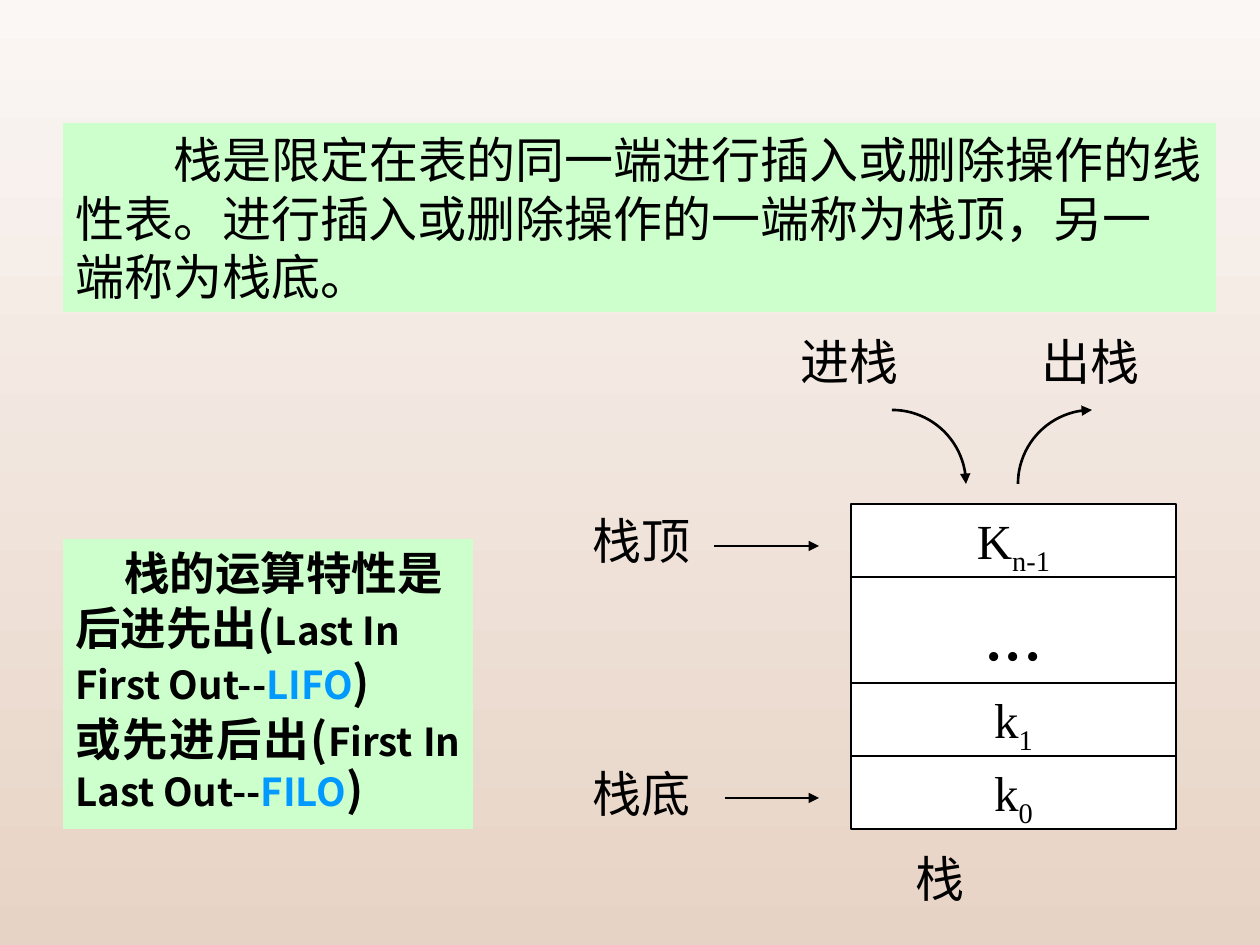
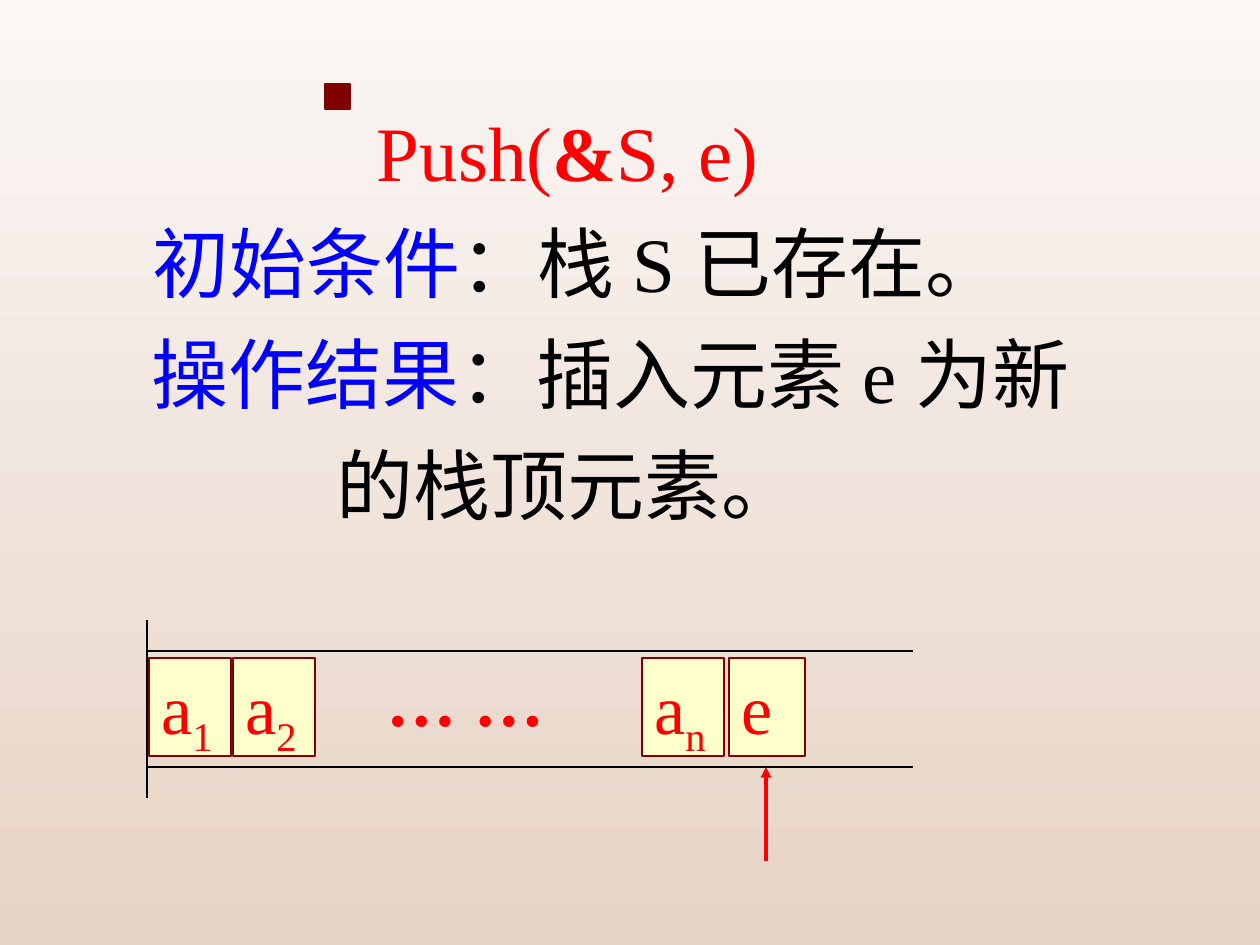
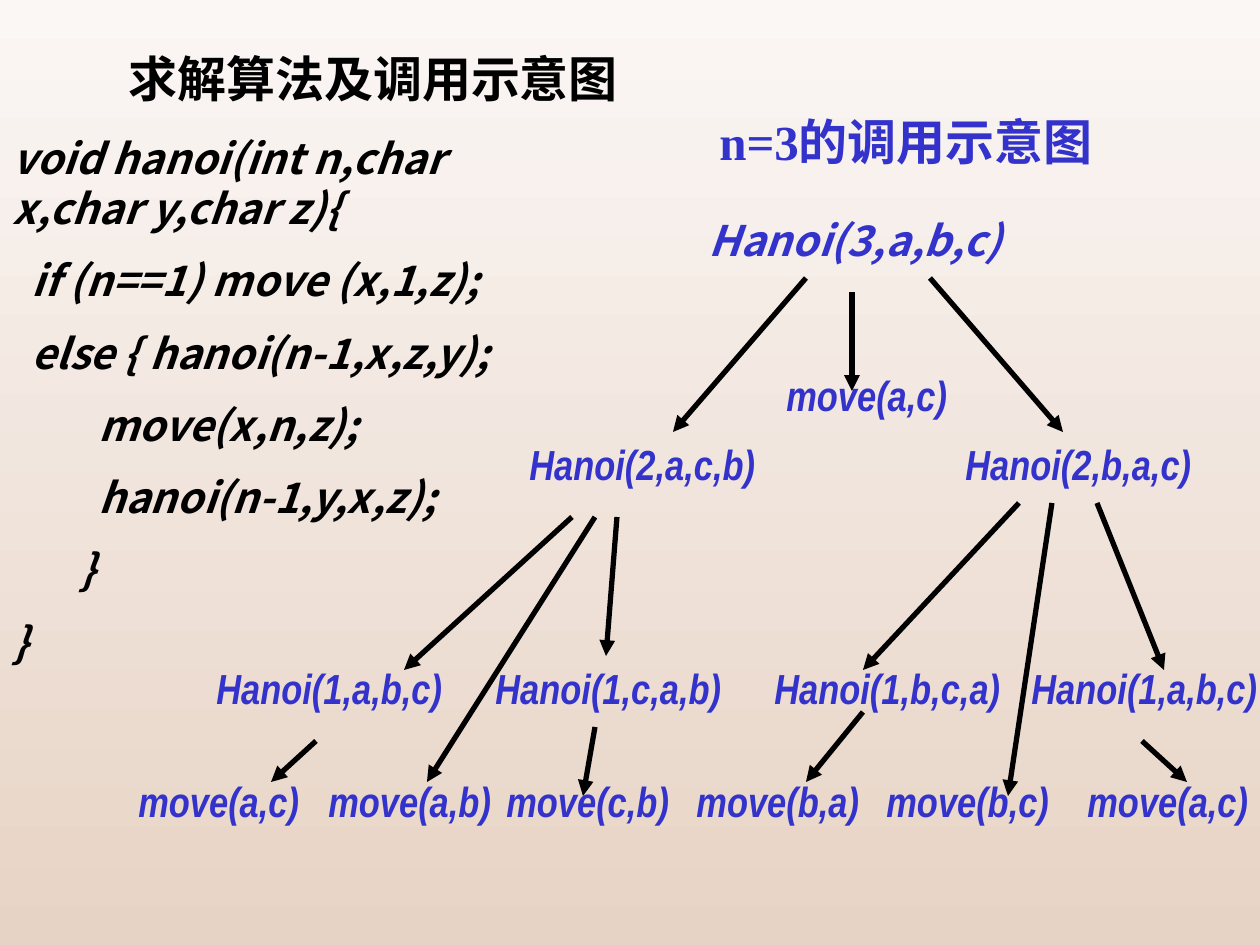
from math import cos, pi, sin

from lxml.etree import SubElement
from pptx import Presentation
from pptx.dml.color import RGBColor
from pptx.enum.shapes import MSO_CONNECTOR, MSO_SHAPE
from pptx.enum.text import MSO_ANCHOR, MSO_AUTO_SIZE, PP_ALIGN
from pptx.oxml.ns import qn
from pptx.util import Emu, Inches, Pt

PX = 914400 / 126
TIMES, NOTO, NARROW = "Times New Roman", "Noto Sans CJK SC", "Arial Narrow"
TITLE_ONLY, BLANK = 5, 6

BLACK = RGBColor(0x00, 0x00, 0x00)
WHITE = RGBColor(0xFF, 0xFF, 0xFF)
RED = RGBColor(0xFF, 0x00, 0x00)
BLUE = RGBColor(0x00, 0x00, 0xFF)
SKY = RGBColor(0x00, 0x99, 0xFF)
INDIGO = RGBColor(0x33, 0x33, 0xCC)
MAROON = RGBColor(0x80, 0x00, 0x00)
MINT = RGBColor(0xCC, 0xFF, 0xCC)
CREAM = RGBColor(0xFF, 0xFF, 0xCC)
BG_TOP = RGBColor(0xFB, 0xF7, 0xF5)
BG_BOTTOM = RGBColor(0xE7, 0xD3, 0xC5)


def px(*lengths):
    return [Emu(round(v * PX)) for v in lengths]


def add_run(p, text, size=28, font=TIMES, color=BLACK, bold=False, italic=False, sub=False):
    r = p.add_run()
    r.text = text
    r.font.size, r.font.name = Pt(size), font
    r.font.bold, r.font.italic = bold, italic
    r.font.color.rgb = color
    rPr = r.font._element
    SubElement(rPr, qn("a:ea")).set("typeface", NOTO)
    if sub:
        rPr.set("baseline", "-25000")


def write(shape, paragraphs, align=PP_ALIGN.LEFT, anchor=MSO_ANCHOR.TOP, wrap=True,
          before=0, indents=(), line=None, **fmt):
    """Fill a shape; a paragraph is a string or a list of (text, format) runs."""
    tf = shape.text_frame
    tf.auto_size, tf.word_wrap, tf.vertical_anchor = MSO_AUTO_SIZE.NONE, wrap, anchor
    for i, runs in enumerate(paragraphs):
        p = tf.add_paragraph() if i else tf.paragraphs[0]
        p.alignment = align
        p.space_before = Pt(before if i else 0)
        if line:
            p.line_spacing = line
        if i < len(indents):
            p._p.get_or_add_pPr().set("indent", str(px(indents[i])[0]))
        for text, own in [(runs, {})] if isinstance(runs, str) else runs:
            add_run(p, text, **{**fmt, **own})
    return tf


def add_text(s, x, y, w, h, *paragraphs, **fmt):
    return write(s.shapes.add_textbox(*px(x, y, w, h)), paragraphs, **fmt)


def add_box(s, x, y, w, h, fill, line=None, kind=MSO_SHAPE.RECTANGLE):
    sp = s.shapes.add_shape(kind, *px(x, y, w, h))
    sp.shadow.inherit = False
    sp.fill.solid()
    sp.fill.fore_color.rgb = fill
    if line is None:
        sp.line.fill.background()
    else:
        set_line(sp, line, 0.75)
    return sp


def set_line(sp, color, width, arrow=False):
    sp.line.color.rgb = color
    sp.line.width = Pt(width)
    if arrow:
        SubElement(sp.line._get_or_add_ln(), qn("a:tailEnd")).set("type", "triangle")


def add_line(s, x1, y1, x2, y2, color=BLACK, width=0.75, arrow=False):
    c = s.shapes.add_connector(MSO_CONNECTOR.STRAIGHT, *px(x1, y1, x2, y2))
    set_line(c, color, width, arrow)
    SubElement(c._element.spPr, qn("a:effectLst"))


def add_curve(s, points):
    start, *rest = [tuple(px(*point)) for point in points]
    builder = s.shapes.build_freeform(*start)
    builder.add_line_segments(rest, close=False)
    sp = builder.convert_to_shape()
    sp.shadow.inherit = False
    sp.fill.background()
    set_line(sp, BLACK, 1.5, arrow=True)


def place_title(s, x, y, w, h, paragraphs, **fmt):
    title = s.shapes.title
    title.left, title.top, title.width, title.height = px(x, y, w, h)
    return write(title, paragraphs, **fmt)


def symbol(base, index):
    return [(base, {}), (index, {"sub": True})]


def stack_figure(s, x, y):
    cell_x, cell_w, top = x + 271, 325, y + 179
    cells = [(73, symbol("K", "n-1"), 28), (106, "...", 44),
             (73, symbol("k", "1"), 28), (73, symbol("k", "0"), 28)]
    for height, content, size in cells:
        cell = add_box(s, cell_x, top, cell_w, height, WHITE, BLACK)
        write(cell, [content], size=size, align=PP_ALIGN.CENTER)
        top += height

    labels = [("进栈", 208, 0, 136), ("出栈", 449, 0, 136), ("栈顶", 0, 179, 123),
              ("栈底", 0, 432, 123), ("栈", 323, 517, 74)]
    for text, dx, dy, w in labels:
        add_text(s, x + dx, y + dy, w, 72, text, wrap=False)
    for start, dy in [(134, 221), (145, 473)]:
        add_line(s, x + start, y + dy, x + 239, y + dy, width=1.5, arrow=True)

    radius, steps = 74, 24
    angles = [pi / 2 * i / steps for i in range(steps + 1)]
    curve_y = y + 85
    add_curve(s, [(x + 312 + radius * sin(a), curve_y + radius * (1 - cos(a))) for a in angles])
    add_curve(s, [(x + 438 + radius * (1 - cos(a)), curve_y + radius * (1 - sin(a)))
                  for a in angles])


def definition_slide(prs):
    s = prs.slides.add_slide(prs.slide_layouts[BLANK])
    write(add_box(s, 63, 123, 1153, 189, MINT),
          ["栈是限定在表的同一端进行插入或删除操作的线",
           "性表。进行插入或删除操作的一端称为栈顶，另一",
           "端称为栈底。"], wrap=False, indents=[98])

    def order(rule, words, acronym):
        return [(rule, {}), (words, {"size": 22}),
                (acronym, {"size": 22, "color": SKY}), (")", {})]

    tf = write(add_box(s, 63, 539, 410, 290, MINT),
               [order("栈的运算特性是后进先出(", "Last In First Out--", "LIFO"),
                order("或先进后出(", "First In Last Out--", "FILO")],
               size=26, font=NOTO, bold=True, before=5, indents=[49])
    last = tf.paragraphs[1]
    last.alignment, last.line_spacing = PP_ALIGN.JUSTIFY, 0.9
    stack_figure(s, 580, 325)


def array_figure(s, x, y):
    add_line(s, x, y, x, y + 178)
    for dy in (31, 147):
        add_line(s, x, y + dy, x + 766, y + dy)
    cells = [(2, 82, symbol("a", "1")), (86, 82, symbol("a", "2")),
             (495, 82, symbol("a", "n")), (582, 76, "e")]
    for dx, w, content in cells:
        write(add_box(s, x + dx, y + 38, w, 98, CREAM, MAROON), [content], size=40, color=RED)
    add_text(s, x + 227, y + 30, 183, 97, "… …", size=40, color=RED, bold=True, wrap=False)
    add_line(s, x + 619, y + 241, x + 619, y + 147, RED, 2, arrow=True)


def push_slide(prs):
    s = prs.slides.add_slide(prs.slide_layouts[TITLE_ONLY])
    red, blue = {"color": RED}, {"color": BLUE}
    tf = place_title(
        s, 32, 284, 1071, 158,
        [[("Push(", red), ("&", {"color": RED, "bold": True}), ("S, e)", red)],
         [("初始条件", blue), ("：栈 S 已存在。", {})],
         [("操作结果", blue), ("：插入元素 e 为新的栈顶元素。", {})]],
        size=44, align=PP_ALIGN.CENTER, anchor=MSO_ANCHOR.MIDDLE, line=1.2,
        indents=[0, 20, 86])
    tf.margin_bottom = px(116)[0]
    add_box(s, 325, 84, 25, 25, MAROON, MAROON, MSO_SHAPE.ACTION_BUTTON_CUSTOM)
    array_figure(s, 147, 620)


def call_tree(s, x, y):
    add_text(s, x + 581, y, 446, 72, "n=3的调用示意图", color=INDIGO, bold=True)
    node = dict(size=24, color=INDIGO, bold=True, italic=True)
    add_text(s, x + 570, y + 103, 346, 63, "Hanoi(3,a,b,c)", font=NOTO, **node)
    rows = [
        (258, 212, [(648, "move(a,c)")]),
        (327, 257, [(391, "Hanoi(2,a,c,b)"), (827, "Hanoi(2,b,a,c)")]),
        (551, 257, [(78, "Hanoi(1,a,b,c)"), (357, "Hanoi(1,c,a,b)"),
                    (636, "Hanoi(1,b,c,a)"), (893, "Hanoi(1,a,b,c)")]),
        (664, 190, [(0, "move(a,c)"), (190, "move(a,b)"), (368, "move(c,b)"),
                    (558, "move(b,a)"), (748, "move(b,c)"), (949, "move(a,c)")]),
    ]
    for dy, w, calls in rows:
        for dx, call in calls:
            add_text(s, x + dx, y + dy, w, 63, call, font=NARROW, **node)

    edges = [
        (726, 187, 726, 286), (680, 173, 547, 327), (804, 173, 937, 327),
        (446, 412, 278, 565), (469, 412, 301, 677), (491, 412, 480, 551),
        (893, 398, 737, 565), (926, 398, 882, 691), (971, 398, 1038, 565),
        (190, 636, 145, 677), (469, 622, 457, 691), (737, 607, 680, 677),
        (1016, 636, 1061, 677),
    ]
    for x1, y1, x2, y2 in edges:
        add_line(s, x + x1, y + y1, x + x2, y + y2, width=3, arrow=True)


def hanoi_slide(prs):
    s = prs.slides.add_slide(prs.slide_layouts[TITLE_ONLY])
    place_title(s, 116, 42, 567, 72, ["求解算法及调用示意图"], bold=True)
    add_text(s, 0, 126, 557, 566,
             "void hanoi(int n,char x,char y,char z){",
             "  if (n==1) move (x,1,z);",
             "  else { hanoi(n-1,x,z,y);",
             "         move(x,n,z);",
             "         hanoi(n-1,y,x,z);",
             "       }",
             "}",
             size=24, font=NOTO, bold=True, italic=True, before=12.5)
    call_tree(s, 126, 105)


def set_background(master):
    fill = master.background.fill
    fill.gradient()
    fill.gradient_angle = 270
    for stop, color in zip(fill.gradient_stops, (BG_TOP, BG_BOTTOM)):
        stop.color.rgb = color


def main():
    prs = Presentation()
    prs.slide_width, prs.slide_height = Inches(10), Inches(7.5)
    set_background(prs.slide_master)
    definition_slide(prs)
    push_slide(prs)
    hanoi_slide(prs)
    prs.save("out.pptx")


if __name__ == "__main__":
    main()
